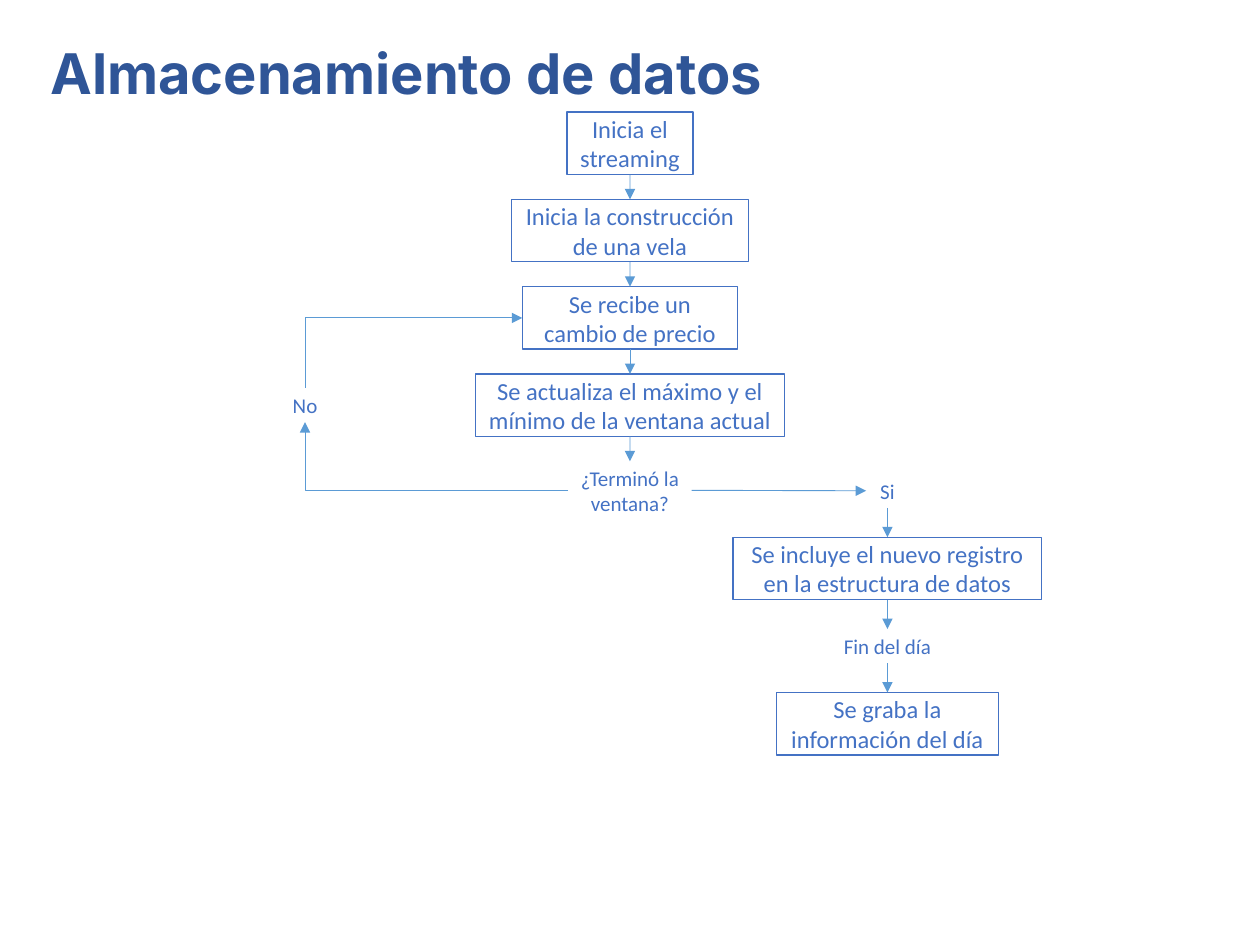
from lxml.etree import SubElement
from pptx import Presentation
from pptx.dml.color import RGBColor
from pptx.enum.shapes import MSO_CONNECTOR, MSO_SHAPE
from pptx.enum.text import MSO_ANCHOR, MSO_AUTO_SIZE, PP_ALIGN
from pptx.oxml.ns import qn
from pptx.util import Cm, Pt

TITLE_BLUE, BOX_BLUE, ARROW_BLUE = "2F5597", "4472C4", "5B9BD5"
STEP_HEIGHT = 1.26
LABEL_HEIGHT = 0.69
TOP, LEFT, BOTTOM, RIGHT = range(4)  # connection sites of a rectangle


def color(hex_value):
    return RGBColor.from_string(hex_value)


def set_all(target, values):
    for name, value in values.items():
        setattr(target, name, value)


def write(part, text, size, font, hex_value, frame_format, bold=False, align=PP_ALIGN.CENTER):
    frame = part.text_frame
    set_all(frame, {"word_wrap": True, "auto_size": MSO_AUTO_SIZE.NONE, **frame_format})
    paragraph = frame.paragraphs[0]
    paragraph.alignment = align
    run = paragraph.add_run()
    run.text = text
    set_all(run.font, {"size": Pt(size), "name": font, "bold": bold})
    run.font.color.rgb = color(hex_value)


def add_node(slide, text, center, top, width, height, outlined):
    """A process step has an outline; a label is plain text."""
    box = Cm(center - width / 2), Cm(top), Cm(width), Cm(height)
    if outlined:
        node = slide.shapes.add_shape(MSO_SHAPE.RECTANGLE, *box)
        node.shadow.inherit = False
        node.fill.background()
        node.line.color.rgb = color(BOX_BLUE)
        node.line.width = Pt(0.75)
    else:
        node = slide.shapes.add_textbox(*box)
    write(node, text, 14 if outlined else 12, "Calibri", BOX_BLUE,
          {"vertical_anchor": MSO_ANCHOR.MIDDLE, "margin_left": Cm(0.2), "margin_right": Cm(0.2)})
    return node


def add_arrow(slide, start, start_site, end, end_site, bent=False, tip="tailEnd"):
    kind = MSO_CONNECTOR.ELBOW if bent else MSO_CONNECTOR.STRAIGHT
    arrow = slide.shapes.add_connector(kind, 0, 0, 0, 0)
    arrow.begin_connect(start, start_site)
    arrow.end_connect(end, end_site)
    arrow.line.color.rgb = color(ARROW_BLUE)
    arrow.line.width = Pt(0.5)
    properties = arrow._element.spPr
    if bent:  # one corner instead of two
        properties.find(qn("a:prstGeom")).set("prst", "bentConnector2")
    SubElement(properties.find(qn("a:ln")), qn("a:" + tip), type="triangle")
    SubElement(properties, qn("a:effectLst"))


def add_column(slide, center, top, gap, parts):
    """Stack the parts downwards from top and join each to the next."""
    nodes = []
    for text, width, height, outlined in parts:
        nodes.append(add_node(slide, text, center, top, width, height, outlined))
        top += height + gap
    for upper, lower in zip(nodes, nodes[1:]):
        add_arrow(slide, upper, BOTTOM, lower, TOP)
    return nodes


def add_title(slide, text, left, top, width, height):
    title = slide.shapes.title
    set_all(title, {"left": Cm(left), "top": Cm(top), "width": Cm(width), "height": Cm(height)})
    write(title, text, 32, "Inter", TITLE_BLUE, {"vertical_anchor": MSO_ANCHOR.TOP},
          bold=True, align=PP_ALIGN.LEFT)


def add_flow(slide, left, top):
    # Main column, from the start to the decision
    *_, price, update, question = add_column(slide, left + 6.55, top, 0.5, [
        ("Inicia el streaming", 2.54, STEP_HEIGHT, True),
        ("Inicia la construcción de una vela", 4.78, STEP_HEIGHT, True),
        ("Se recibe un cambio de precio", 4.34, STEP_HEIGHT, True),
        ("Se actualiza el máximo y el mínimo de la ventana actual", 6.22, STEP_HEIGHT, True),
        ("¿Terminó la ventana?", 2.49, 1.17, False),
    ])

    # Yes branch, level with the decision
    yes, *_ = add_column(slide, left + 11.74, top + 7.29, 0.59, [
        ("Si", 0.86, LABEL_HEIGHT, False),
        ("Se incluye el nuevo registro en la estructura de datos", 6.22, STEP_HEIGHT, True),
        ("Fin del día", 2.31, LABEL_HEIGHT, False),
        ("Se graba la información del día", 4.47, STEP_HEIGHT, True),
    ])
    add_arrow(slide, question, RIGHT, yes, LEFT)

    # No branch, looping back to the next price change
    no = add_node(slide, "No", left, top + 5.56, 1.07, LABEL_HEIGHT, False)
    add_arrow(slide, question, LEFT, no, BOTTOM, bent=True)
    add_arrow(slide, price, LEFT, no, TOP, bent=True, tip="headEnd")


presentation = Presentation()
presentation.slide_width, presentation.slide_height = Cm(25.4), Cm(19.05)
storage_slide = presentation.slides.add_slide(presentation.slide_layouts[5])
add_title(storage_slide, "Almacenamiento de datos", 0.76, 0.64, 19.23, 1.63)
add_flow(storage_slide, 6.15, 2.26)
presentation.save("out.pptx")
